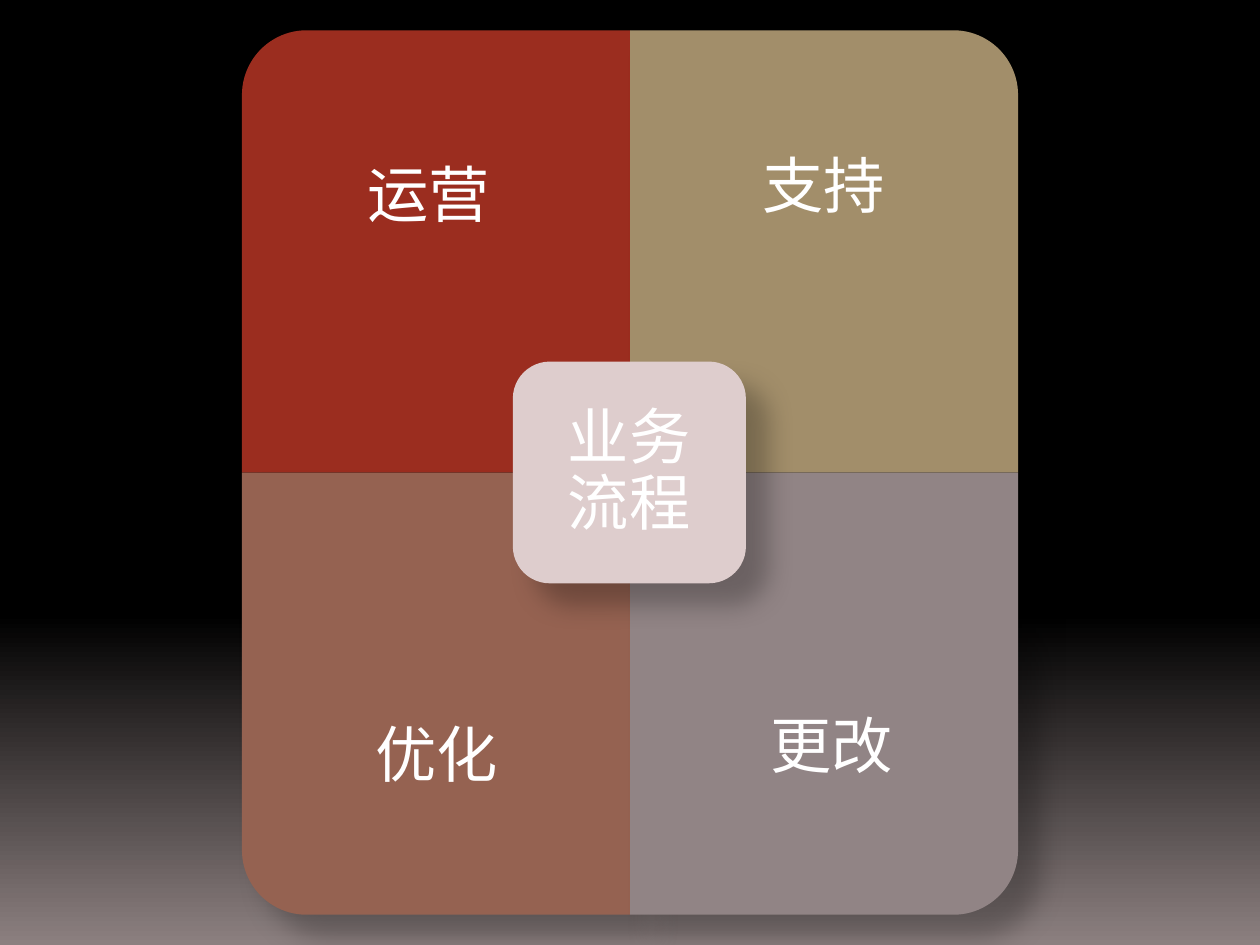
from lxml.etree import SubElement
from pptx import Presentation
from pptx.dml.color import RGBColor
from pptx.enum.shapes import MSO_SHAPE
from pptx.enum.text import MSO_ANCHOR, PP_ALIGN
from pptx.oxml.ns import qn
from pptx.util import Inches, Pt

COLORS = {
    "black": "000000",
    "base": "8C8080",
    "white": "FFFFFF",
    "run": "9B2D1F",
    "support": "A28E6A",
    "improve": "956251",
    "change": "918485",
    "core": "DECDCD",
}
FONT = "Cabin"
WIDE, NARROW = 0.27, 0.15  # text insets toward and away from the centre


def rgb(name):
    return RGBColor.from_string(COLORS[name])


def add_glow(shape):
    """Give the shape a soft shadow to the lower right."""
    shape.shadow.inherit = False
    effects = shape._element.spPr.find(qn("a:effectLst"))
    outer = SubElement(effects, qn("a:outerShdw"), blurRad=str(Pt(15)),
                       dist=str(Pt(18)), dir=str(45 * 60000),
                       algn="tl", rotWithShape="0")
    color = SubElement(outer, qn("a:srgbClr"), val=COLORS["black"])
    SubElement(color, qn("a:alpha"), val="26000")


def add_tile(slide, kind, box, color, turn=0):
    """Fill the box with a shape turned by a multiple of 90 degrees."""
    left, top, width, height = box
    if turn % 180:
        left += (width - height) / 2
        top += (height - width) / 2
        width, height = height, width
    tile = slide.shapes.add_shape(
        kind, *(Inches(v) for v in (left, top, width, height)))
    tile.rotation = turn
    tile.fill.solid()
    tile.fill.fore_color.rgb = rgb(color)
    tile.line.fill.background()
    add_glow(tile)
    return tile


def add_text(slide, text, box, insets, size=35, color="white"):
    frame = slide.shapes.add_textbox(*(Inches(v) for v in box)).text_frame
    frame.word_wrap = True
    frame.vertical_anchor = MSO_ANCHOR.MIDDLE
    (frame.margin_left, frame.margin_top,
     frame.margin_right, frame.margin_bottom) = (Inches(v) for v in insets)
    line = frame.paragraphs[0]
    line.alignment = PP_ALIGN.CENTER
    line.line_spacing = 0.9
    run = line.add_run()
    run.text = text
    run.font.name = FONT
    run.font.size = Pt(size)
    run.font.color.rgb = rgb(color)


def set_back(slide):
    fill = slide.background.fill
    fill.gradient()
    fill.gradient_angle = 270
    for stop, (place, color) in zip(fill.gradient_stops,
                                    [(0.65, "black"), (1, "base")]):
        stop.position = place
        stop.color.rgb = rgb(color)


def add_matrix(slide, left, top, width, height):
    wide, high = width / 2, height / 2
    # text, colour, column, row, turn, label box
    parts = [
        ("运营", "run", 0, 0, 270, (1.92, 0.39, 3.08, 2.48)),
        ("支持", "support", 1, 0, 0, (5, 0.24, 2.95, 2.64)),
        ("优化", "improve", 0, 1, 180, (2.05, 4.63, 2.95, 2.64)),
        ("更改", "change", 1, 1, 90, (5, 4.63, 3.08, 2.51)),
    ]
    for text, color, col, row, turn, label in parts:
        box = (left + col * wide, top + row * high, wide, high)
        add_tile(slide, MSO_SHAPE.ROUND_1_RECTANGLE, box, color, turn)
        insets = (WIDE if col else NARROW, WIDE if row else NARROW,
                  NARROW if col else WIDE, NARROW if row else WIDE)
        add_text(slide, text, label, insets)


def add_core(slide, left, top, width, height):
    box = (left, top, width, height)
    add_tile(slide, MSO_SHAPE.ROUNDED_RECTANGLE, box, "core")
    pad = 0.09
    inner = (left + pad, top + pad, width - 2 * pad, height - 2 * pad)
    add_text(slide, "业务流程", inner, (NARROW,) * 4)


def main():
    deck = Presentation()
    deck.slide_width, deck.slide_height = Inches(10), Inches(7.5)
    slide = deck.slides.add_slide(deck.slide_layouts[6])
    set_back(slide)
    add_matrix(slide, 1.92, 0.24, 6.16, 7.02)
    add_core(slide, 4.07, 2.87, 1.85, 1.76)
    deck.save("out.pptx")


if __name__ == "__main__":
    main()
